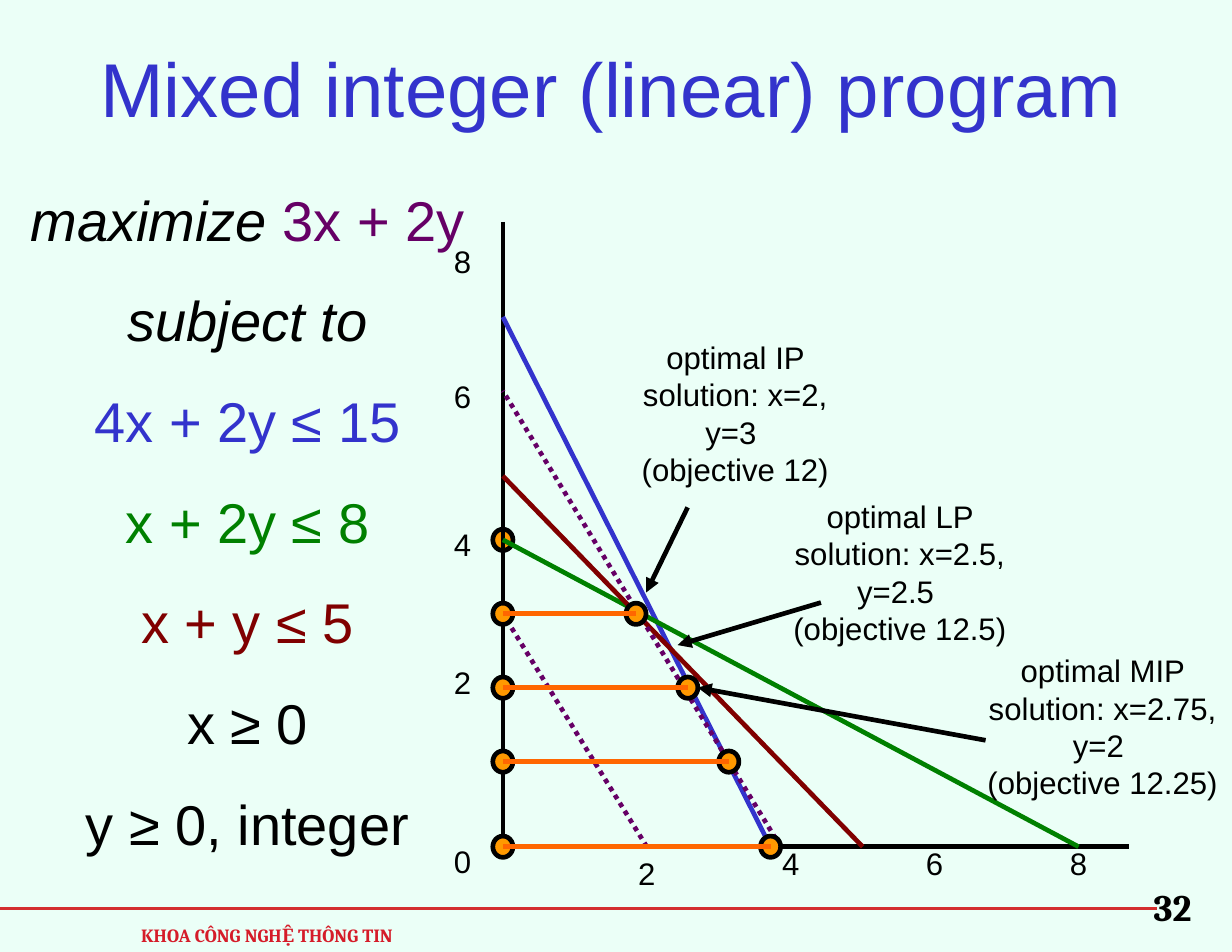
from typing import NamedTuple

from lxml import etree
from pptx import Presentation
from pptx import util as u
from pptx.dml.color import RGBColor
from pptx.enum import dml, shapes, text
from pptx.oxml.ns import qn

WIDTH, HEIGHT = 11, 8.5
BLACK, BLUE, GREEN, MAROON, PURPLE = "000000", "3333CC", "008000", "800000", "660066"
ORANGE, AMBER, RED = "FF6600", "FF9900", "D32F2F"

# Plot grid: even columns, and one height for each row that is used
ORIGIN_X = 4.49
COLUMN = (9.63 - ORIGIN_X) / 8
ROWS = {0: 7.56, 1: 6.8, 2: 6.14, 3: 5.48, 4: 4.82, 5: 4.25, 6: 3.49, 7.5: 2.83}
DOT_W, DOT_H = 0.18, 0.19
LABEL_W, LABEL_H = 0.38, 0.45
NOTE_W, NOTE_H = 2.31, 1.45


class Run(NamedTuple):
    text: str
    color: str = BLACK
    italic: bool = False


class Boundary(NamedTuple):
    start: tuple[float, float]
    end: tuple[float, float]
    color: str
    dotted: bool = False


class Note(NamedTuple):
    left: float
    top: float
    lines: tuple[str, str]
    start: tuple[float, float]
    end: tuple[float, float]


GOAL = [
    [Run("maximize ", italic=True), Run("3x + 2y", PURPLE)],
    [Run("subject to", italic=True)],
    [Run("4x + 2y ≤ 15", BLUE)],
    [Run("x + 2y ≤ 8", GREEN)],
    [Run("x + y ≤ 5", MAROON)],
    [Run("x ≥ 0")],
    [Run("y ≥ 0, integer")],
]
BOUNDARIES = [
    Boundary((0, 7.5), (3.72, 0), BLUE),
    Boundary((8, 0), (0, 4), GREEN),
    Boundary((0, 5), (5, 0), MAROON),
    Boundary((2, 0), (0, 3), PURPLE, True),
    Boundary((3.86, 0), (0, 6), PURPLE, True),
]
# Right end of the feasible segment on each integer row
SEGMENTS = {3: 1.85, 2: 2.57, 1: 3.14, 0: 3.72}
Y_LABEL_TOPS = {2: 5.86, 0: 7.46, 4: 4.63, 6: 3.31, 8: 2.1}
X_LABEL_TOPS = {2: 7.57, 4: 7.48, 6: 7.48, 8: 7.48}
NOTES = [
    Note(6.88, 4.38, ("optimal LP solution: x=2.5, y=2.5 ", "(objective 12.5)"),
         (7.33, 5.38), (6.05, 5.76)),
    Note(5.41, 2.96, ("optimal IP solution: x=2, y=3 ", "(objective 12)"),
         (6.14, 4.53), (5.77, 5.29)),
    Note(8.69, 5.76, ("optimal MIP solution: x=2.75, y=2 ", "(objective 12.25)"),
         (8.8, 6.61), (6.23, 6.14)),
]


def rgb(color: str) -> RGBColor:
    return RGBColor.from_string(color)


def plot(x: float, y: float) -> tuple[float, float]:
    """Turn plot coordinates into inches on the slide."""
    return ORIGIN_X + x * COLUMN, ROWS[y]


def write(tf, paragraphs: list[list[Run]], size: float, font: str = "Arial",
          bold: bool = False, spacing: float = 1, before: float = 0,
          inset: tuple[float, float] = (0.11, 0.06), wrap: bool = True) -> None:
    dx, dy = map(u.Inches, inset)
    frame = dict(margin_left=dx, margin_right=dx, margin_top=dy, margin_bottom=dy,
                 word_wrap=wrap, auto_size=text.MSO_AUTO_SIZE.NONE)
    for name, value in frame.items():
        setattr(tf, name, value)
    for i, runs in enumerate(paragraphs):
        p = tf.add_paragraph() if i else tf.paragraphs[0]
        layout = dict(alignment=text.PP_ALIGN.CENTER, line_spacing=spacing,
                      space_before=u.Pt(before if i else 0))
        for name, value in layout.items():
            setattr(p, name, value)
        for run in runs:
            r = p.add_run()
            r.text = run.text
            look = dict(name=font, size=u.Pt(size), bold=bold, italic=run.italic)
            for name, value in look.items():
                setattr(r.font, name, value)
            r.font.color.rgb = rgb(run.color)


def add_text(slide, at: tuple[float, float, float, float],
             paragraphs: list[list[Run]], size: float, **options) -> None:
    sp = slide.shapes.add_textbox(*map(u.Inches, at))
    write(sp.text_frame, paragraphs, size, **options)


def add_line(slide, start: tuple[float, float], end: tuple[float, float], color: str,
             width: float = 3, dotted: bool = False, arrow: bool = False) -> None:
    line = slide.shapes.add_connector(shapes.MSO_CONNECTOR.STRAIGHT,
                                      *map(u.Inches, start + end))
    line.line.color.rgb = rgb(color)
    line.line.width = u.Pt(width)
    if dotted:
        line.line.dash_style = dml.MSO_LINE.ROUND_DOT
    if arrow:
        etree.SubElement(line.line._get_or_add_ln(), qn("a:tailEnd"), type="triangle")
    etree.SubElement(line._element.spPr, qn("a:effectLst"))


def add_dot(slide, x: float, y: float) -> None:
    cx, cy = plot(x, y)
    at = cx - DOT_W / 2, cy - DOT_H / 2, DOT_W, DOT_H
    dot = slide.shapes.add_shape(shapes.MSO_SHAPE.OVAL, *map(u.Inches, at))
    dot.shadow.inherit = False
    dot.fill.solid()
    dot.fill.fore_color.rgb = rgb(AMBER)
    dot.line.color.rgb = rgb(BLACK)
    dot.line.width = u.Pt(3)


def add_label(slide, value: int, left: float, top: float) -> None:
    add_text(slide, (left, top, LABEL_W, LABEL_H), [[Run(str(value))]], 20, wrap=False)


def add_note(slide, note: Note) -> None:
    add_text(slide, (note.left, note.top, NOTE_W, NOTE_H),
             [[Run(line)] for line in note.lines], 20)
    add_line(slide, note.start, note.end, BLACK, arrow=True)


def add_footer(slide) -> None:
    add_line(slide, (0, 8.11), (10.33, 8.11), RED, 2.25)
    style = dict(font="Cambria", bold=True, spacing=1.18, inset=(0.1, 0.05))
    add_text(slide, (1.12, 8.16, 2.53, 0.34),
             [[Run("KHOA CÔNG NGHỆ THÔNG TIN", "D51C29")]], 12, **style)
    add_text(slide, (10.08, 7.77, 0.78, 0.57), [[Run("32")]], 24, **style)


def add_title(slide) -> None:
    title = slide.shapes.title
    place = dict(left=0.18, top=0.09, width=10.54, height=1.13)
    for name, value in place.items():
        setattr(title, name, u.Inches(value))
    title.text_frame.vertical_anchor = text.MSO_ANCHOR.MIDDLE
    write(title.text_frame, [[Run("Mixed integer (linear) program", BLUE)]], 49,
          spacing=1.29)


def add_plot(slide) -> None:
    add_dot(slide, 0, 4)
    add_line(slide, (ORIGIN_X, 1.98), plot(0, 0), BLACK)
    add_line(slide, plot(0, 0), (10.08, ROWS[0]), BLACK)
    for value, top in Y_LABEL_TOPS.items():
        add_label(slide, value, 3.94, top)
    for value, top in X_LABEL_TOPS.items():
        add_label(slide, value, ORIGIN_X + value * COLUMN - LABEL_W / 2, top)
    for b in BOUNDARIES:
        add_line(slide, plot(*b.start), plot(*b.end), b.color, dotted=b.dotted)
    for y, x in SEGMENTS.items():
        add_dot(slide, 0, y)
        add_dot(slide, x, y)
    for y, x in SEGMENTS.items():
        add_line(slide, plot(0, y), plot(x, y), ORANGE)
    for note in NOTES:
        add_note(slide, note)


def main() -> None:
    prs = Presentation()
    prs.slide_width, prs.slide_height = u.Inches(WIDTH), u.Inches(HEIGHT)
    slide = prs.slides.add_slide(prs.slide_layouts[5])
    slide.background.fill.solid()
    slide.background.fill.fore_color.rgb = rgb("EBFFF7")
    add_footer(slide)
    add_title(slide)
    add_text(slide, (0, 1.42, 4.42, 6.8), GOAL, 36, spacing=1.29, before=9)
    add_plot(slide)
    prs.save("out.pptx")


if __name__ == "__main__":
    main()
